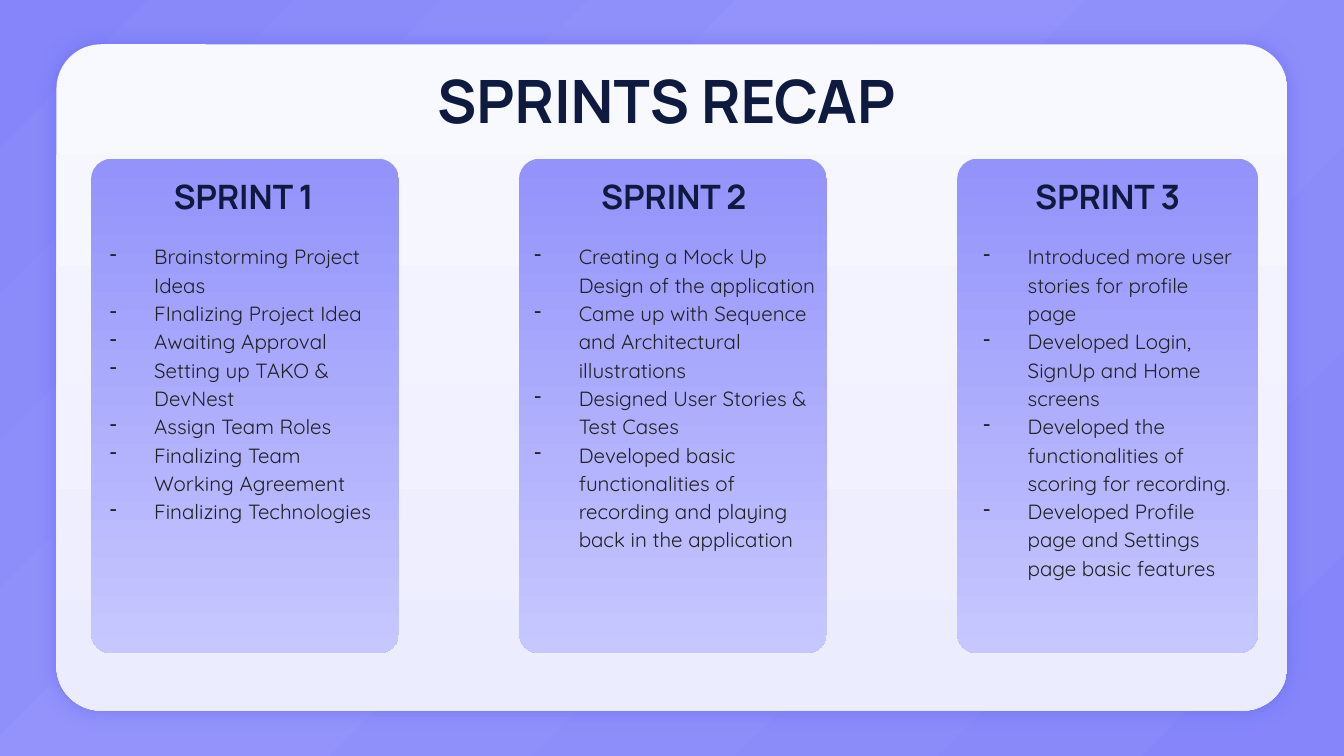
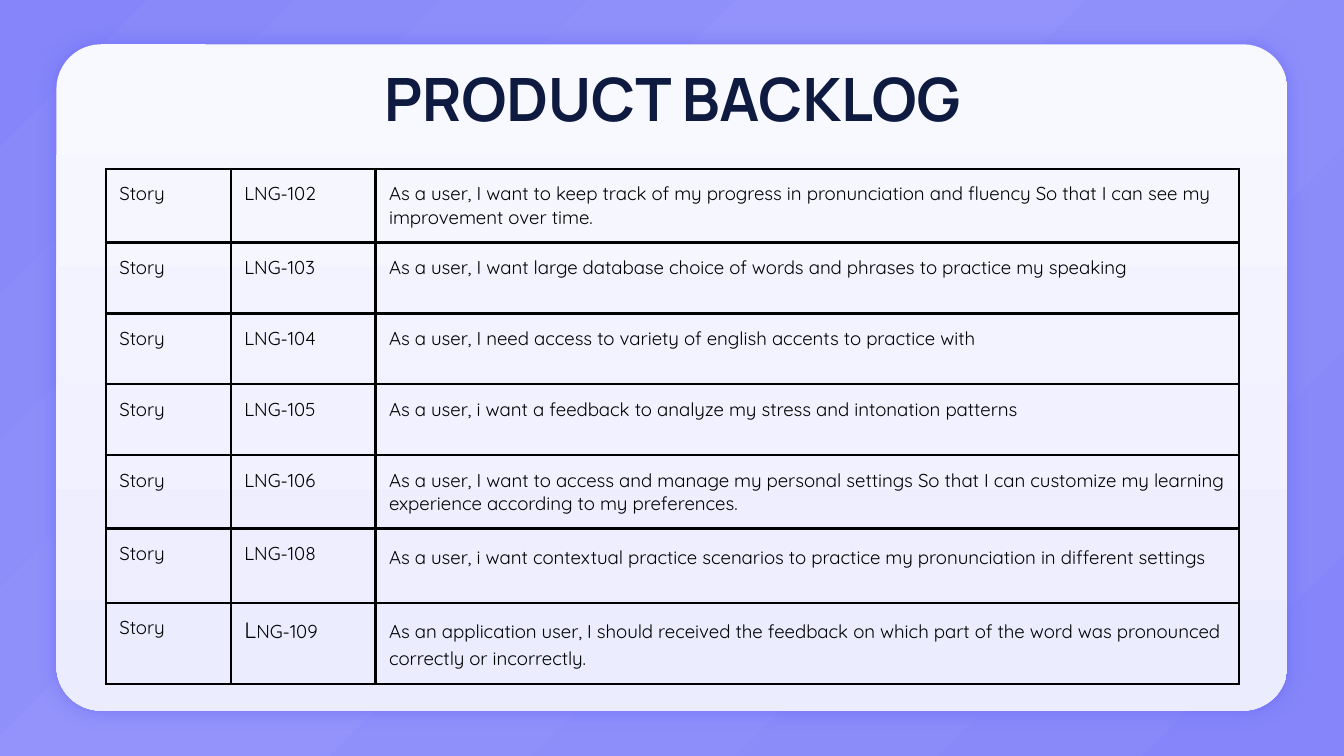
import pptx
import pptx.dml.color
import pptx.enum.shapes
import pptx.enum.text
import pptx.oxml.ns
import pptx.util
from lxml import etree

Pt = pptx.util.Pt
qn = pptx.oxml.ns.qn
ALIGN = pptx.enum.text.PP_ALIGN
ANCHOR = pptx.enum.text.MSO_ANCHOR
COLORS = {
    "edge": "8686FA", "violet": "9393FB", "lilac": "C7C7FF",
    "panel_top": "F8F8FF", "panel_bottom": "ECECFF", "shadow": "5F5FF6",
    "navy": "0E1A3F", "ink": "202122", "black": "000000",
}
HEADING_FONT, BODY_FONT = "Manrope", "Quicksand"
INSET = 7.2


def add_node(parent, tag, **attributes):
    """Append a DrawingML element whose attribute values are made strings."""
    return etree.SubElement(parent, qn(tag), {key: str(value) for key, value in attributes.items()})


def paint_gradient(fill, element, stops, angle):
    """Fill with (percent, colour name) stops; angle runs counter-clockwise."""
    fill.gradient()
    fill.gradient_angle = angle
    stop_list = next(element.iter(qn("a:gsLst")))
    for stop in list(stop_list):
        stop_list.remove(stop)
    for percent, color in stops:
        stop = add_node(stop_list, "a:gs", pos=percent * 1000)
        add_node(stop, "a:srgbClr", val=COLORS[color])


def add_dash(para, color):
    properties = para._p.get_or_add_pPr()
    properties.set("marL", str(Pt(36)))
    properties.set("indent", str(-Pt(23.75)))
    add_node(add_node(properties, "a:buClr"), "a:srgbClr", val=COLORS[color])
    add_node(properties, "a:buChar", char="-")


def write_text(frame, paragraphs, size, font, color, bold=False, align=ALIGN.LEFT,
               spacing=None, dashes=False):
    """Write paragraphs; each is a string or a list of (text, size) spans."""
    for index, content in enumerate(paragraphs):
        para = frame.paragraphs[0] if index == 0 else frame.add_paragraph()
        para.alignment = align
        if spacing:
            para.line_spacing = spacing
        if dashes:
            add_dash(para, color)
        spans = [(content, size)] if isinstance(content, str) else content
        for text, span_size in spans:
            span = para.add_run()
            span.text = text
            span.font.size = Pt(span_size)
            span.font.name = font
            span.font.bold = bold
            span.font.color.rgb = pptx.dml.color.RGBColor.from_string(COLORS[color])


def set_frame(frame, anchor):
    frame.word_wrap = True
    frame.auto_size = pptx.enum.text.MSO_AUTO_SIZE.NONE
    frame.vertical_anchor = anchor
    frame.margin_left = frame.margin_right = Pt(INSET)
    frame.margin_top = frame.margin_bottom = Pt(INSET)


def border_cell(cell):
    properties = cell._tc.get_or_add_tcPr()
    for index, side in enumerate(("a:lnL", "a:lnR", "a:lnT", "a:lnB")):
        line = add_node(properties, side, w=Pt(1.5))
        add_node(add_node(line, "a:solidFill"), "a:srgbClr", val=COLORS["black"])
        properties.insert(index, line)


class Deck:
    def __init__(self):
        self.file = pptx.Presentation()
        self.file.slide_width, self.file.slide_height = Pt(720), Pt(405)
        self.page = None

    def new_page(self, title, top):
        self.page = self.file.slides.add_slide(self.file.slide_layouts[5])
        paint_gradient(self.page.background.fill, self.page.element,
                       [(0, "edge"), (58, "violet"), (100, "edge")], 135)
        panel = self.card(30.25, 23.75, 659.5, 357, "panel_top", "panel_bottom")
        effects = panel.element.spPr.find(qn("a:effectLst"))
        shadow = add_node(effects, "a:outerShdw", blurRad=Pt(10), dist=0, dir=0,
                          algn="ctr", rotWithShape=0)
        tint = add_node(shadow, "a:srgbClr", val=COLORS["shadow"])
        add_node(tint, "a:alpha", val=49000)

        box = self.page.shapes.title
        box.element.addprevious(panel.element)
        box.left, box.top, box.width, box.height = Pt(56.75), Pt(top), Pt(607), Pt(45)
        set_frame(box.text_frame, ANCHOR.TOP)
        write_text(box.text_frame, [title], size=32, font=HEADING_FONT, color="navy",
                   bold=True, align=ALIGN.CENTER)

    def card(self, left, top, width, height, color_top, color_bottom):
        shape = self.page.shapes.add_shape(
            pptx.enum.shapes.MSO_SHAPE.ROUNDED_RECTANGLE,
            Pt(left), Pt(top), Pt(width), Pt(height))
        shape.adjustments[0] = 0.067
        shape.shadow.inherit = False
        shape.line.fill.background()
        paint_gradient(shape.fill, shape.element, [(0, color_top), (100, color_bottom)], 270)
        return shape

    def text(self, left, top, width, height, paragraphs, anchor=ANCHOR.TOP, **style):
        box = self.page.shapes.add_textbox(Pt(left), Pt(top), Pt(width), Pt(height))
        set_frame(box.text_frame, anchor)
        write_text(box.text_frame, paragraphs, **style)

    def table(self, left, top, widths, heights, rows, spacings):
        """Add a ruled table; spacings gives the line spacing of the last column by row."""
        table = self.page.shapes.add_table(
            len(rows), len(widths), Pt(left), Pt(top), Pt(sum(widths)), Pt(sum(heights))).table
        table.first_row = table.horz_banding = False
        for column, width in zip(table.columns, widths):
            column.width = Pt(width)
        for row_index, (row, height) in enumerate(zip(rows, heights)):
            table.rows[row_index].height = Pt(height)
            for column_index, content in enumerate(row):
                cell = table.cell(row_index, column_index)
                cell.fill.background()
                border_cell(cell)
                cell.margin_left = cell.margin_right = Pt(INSET)
                cell.margin_top = cell.margin_bottom = Pt(INSET)
                is_last = column_index == len(widths) - 1
                write_text(cell.text_frame, [content], size=10, font=BODY_FONT, color="black",
                           spacing=spacings.get(row_index) if is_last else None)


# Card, heading and list are each (left, width).
SPRINTS = [
    ((48.75, 165), (44.75, 171.5), (39.5, 174.25), [
        "Brainstorming Project Ideas",
        "FInalizing Project Idea",
        "Awaiting Approval",
        "Setting up TAKO & DevNest",
        "Assign Team Roles",
        "Finalizing Team Working Agreement",
        "Finalizing Technologies",
    ]),
    ((278, 165), (278.5, 165), (267, 180), [
        "Creating a Mock Up Design of the application",
        "Came up with Sequence and Architectural illustrations",
        "Designed User Stories & Test Cases",
        "Developed basic functionalities of recording and playing back in the application",
    ]),
    ((512.75, 161.25), (512.75, 161.25), (507.5, 161.25), [
        "Introduced more user stories for profile page",
        "Developed Login, SignUp and Home screens",
        "Developed the functionalities of scoring for recording.",
        "Developed Profile page and Settings page basic features",
    ]),
]

STORIES = [
    ("LNG-102", "As a user, I want to keep track of my progress in pronunciation and fluency "
                "So that I can see my improvement over time."),
    ("LNG-103", "As a user, I want large database choice of words and phrases to practice my speaking"),
    ("LNG-104", "As a user, I need access to variety of english accents to practice with"),
    ("LNG-105", "As a user, i want a feedback to analyze my stress and intonation patterns"),
    ("LNG-106", "As a user, I want to access and manage my personal settings So that I can "
                "customize my learning experience according to my preferences."),
    ("LNG-108", "As a user, i want contextual practice scenarios to practice my pronunciation "
                "in different settings"),
    ([("L", 12), ("NG-109", 10)],
     "As an application user, I should received the feedback on which part of the word was "
     "pronounced correctly or incorrectly."),
]


def build_sprints(deck):
    deck.new_page("SPRINTS RECAP ", top=26.75)
    for number, (card, heading, tasks_box, tasks) in enumerate(SPRINTS, start=1):
        deck.card(card[0], 85, card[1], 265, "violet", "lilac")
        deck.text(heading[0], 91.5, heading[1], 26.5, [f"SPRINT {number}"], anchor=ANCHOR.MIDDLE,
                  size=18, font=HEADING_FONT, color="navy", bold=True, align=ALIGN.CENTER)
        deck.text(tasks_box[0], 121.75, tasks_box[1], 228, tasks,
                  size=11, font=BODY_FONT, color="ink", spacing=1.15, dashes=True)


def build_backlog(deck):
    deck.new_page("PRODUCT BACKLOG", top=26)
    rows = [("Story", key, story) for key, story in STORIES]
    deck.table(56.75, 90.5, widths=[67, 77.5, 462.5], heights=[38] * 5 + [39.75, 36],
               rows=rows, spacings={5: 1.15, 6: 1.17})


def main():
    deck = Deck()
    build_sprints(deck)
    build_backlog(deck)
    deck.file.save("out.pptx")


if __name__ == "__main__":
    main()
